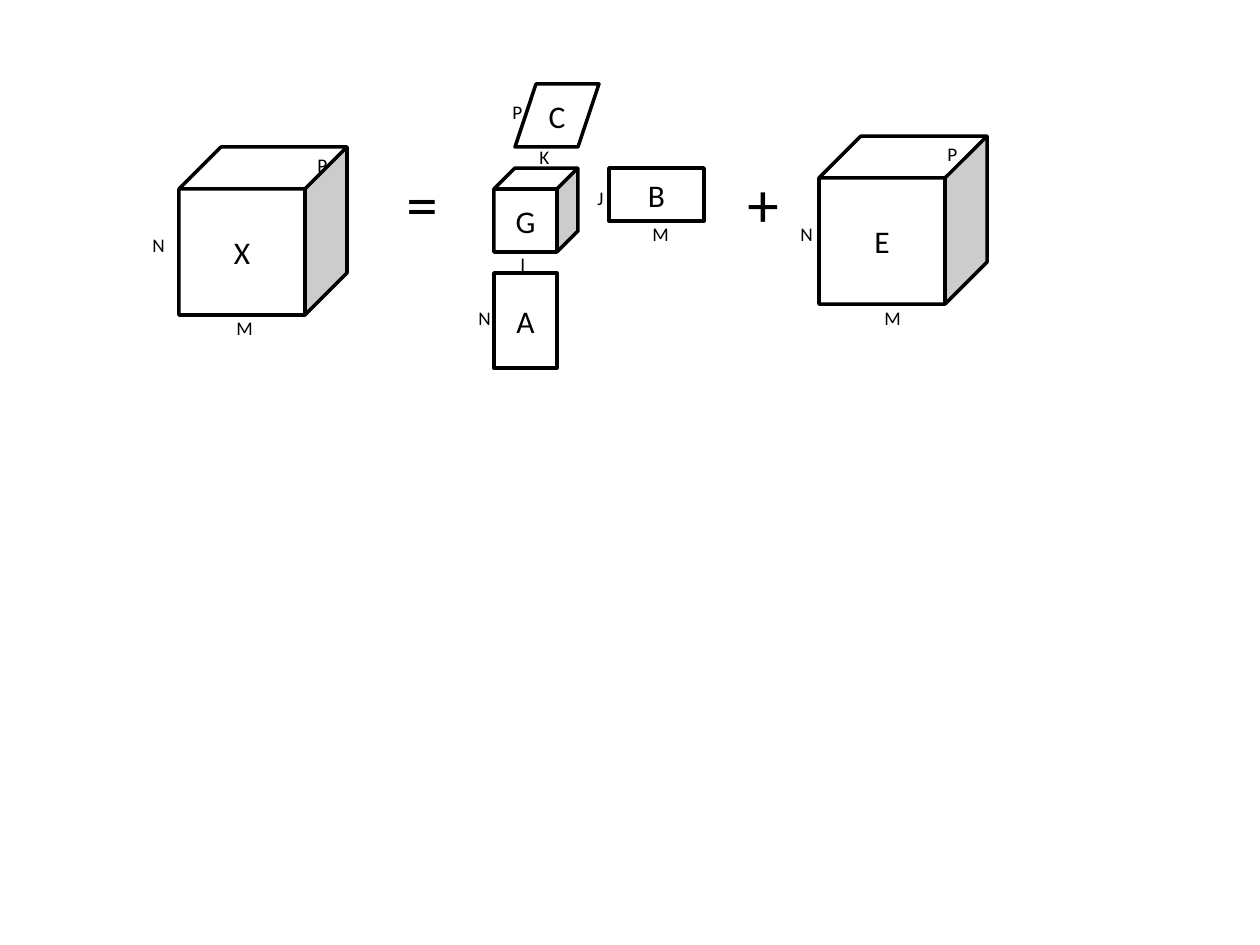
from pptx import Presentation
from pptx.dml.color import RGBColor
from pptx.enum.shapes import MSO_SHAPE
from pptx.enum.text import MSO_ANCHOR, MSO_AUTO_SIZE, PP_ALIGN
from pptx.util import Pt

PX = 914400 / 126  # EMU per pixel
CUBE, RECT = MSO_SHAPE.CUBE, MSO_SHAPE.RECTANGLE
MIDDLE, CENTER, LEFT = MSO_ANCHOR.MIDDLE, PP_ALIGN.CENTER, PP_ALIGN.LEFT
GROW = MSO_AUTO_SIZE.SHAPE_TO_FIT_TEXT
BLACK, WHITE = "000000", "FFFFFF"


def emu(*lengths):
    return [round(length * PX) for length in lengths]


def write(shape, text, size, align):
    para = shape.text_frame.paragraphs[0]
    para.alignment = align
    span = para.add_run()
    span.text = text
    font_format = {"name": "Calibri", "size": Pt(size)}
    for name, value in font_format.items():
        setattr(span.font, name, value)
    span.font.color.rgb = RGBColor.from_string(BLACK)


deck = Presentation()
deck.slide_width, deck.slide_height = emu(1260, 945)
page = deck.slides.add_slide(deck.slide_layouts[6])

# Tensors (cubes) and factor matrices (rectangles)
blocks = [
    ("X", CUBE, 179, 147, 168, 168),
    ("G", CUBE, 494, 168, 84, 84),
    ("E", CUBE, 819, 136, 168, 168),
    ("A", RECT, 494, 273, 63, 95),
    ("B", RECT, 609, 168, 95, 53),
]
solids = [(name, page.shapes.add_shape(kind, *emu(*place)))
          for name, kind, *place in blocks]

# Slanted factor matrix C
outline = page.shapes.build_freeform(536, 84, scale=PX)
outline.add_line_segments([(599, 84), (578, 147), (515, 147)], close=True)
solids.append(("C", outline.convert_to_shape()))

for name, solid in solids:
    solid.shadow.inherit = False
    solid.fill.solid()
    solid.fill.fore_color.rgb = RGBColor.from_string(WHITE)
    solid.line.color.rgb = RGBColor.from_string(BLACK)
    solid.line.width = Pt(2)
    solid.text_frame.vertical_anchor = MIDDLE
    write(solid, name, 18, CENTER)

# Operators and dimension labels: text, left, top
operators = [("+", 735, 158), ("=", 394, 158)]
dimensions = [
    ("N", 140, 227), ("M", 224, 310), ("P", 305, 147),  # X
    ("N", 466, 300), ("I", 508, 246),                   # A
    ("M", 640, 216), ("J", 585, 180),                   # B
    ("P", 500, 94), ("K", 527, 139),                    # C
    ("N", 788, 216), ("M", 872, 300), ("P", 935, 136),  # E
]
widths = {"+": 57, "=": 57, "N": 38, "M": 42, "P": 35, "K": 35, "I": 30, "J": 32}
for labels, size, height in [(operators, 36, 89), (dimensions, 11, 36)]:
    for text, left, top in labels:
        box = page.shapes.add_textbox(*emu(left, top, widths[text], height))
        frame_format = {"word_wrap": False, "auto_size": GROW}
        for name, value in frame_format.items():
            setattr(box.text_frame, name, value)
        write(box, text, size, LEFT)

deck.save("out.pptx")
